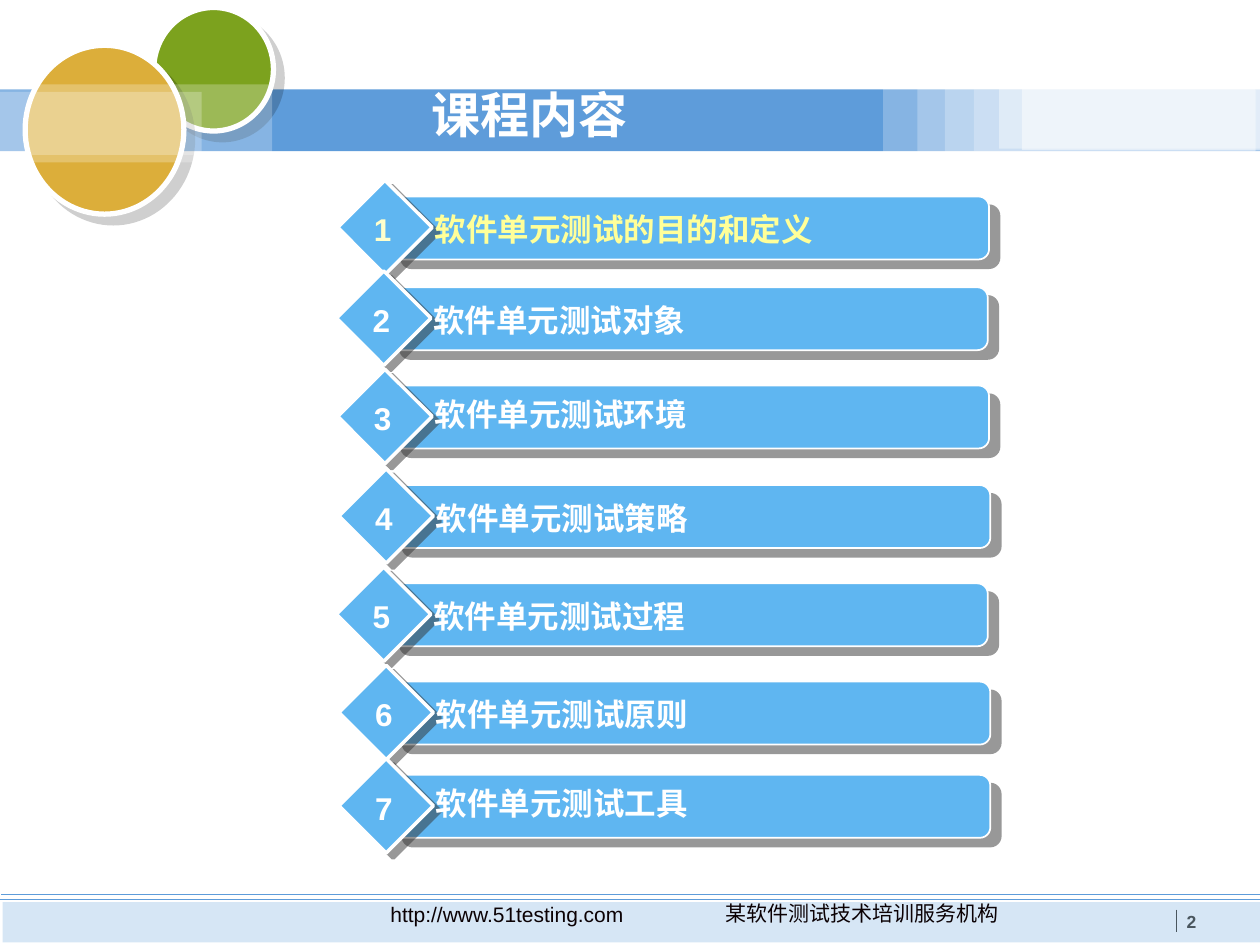
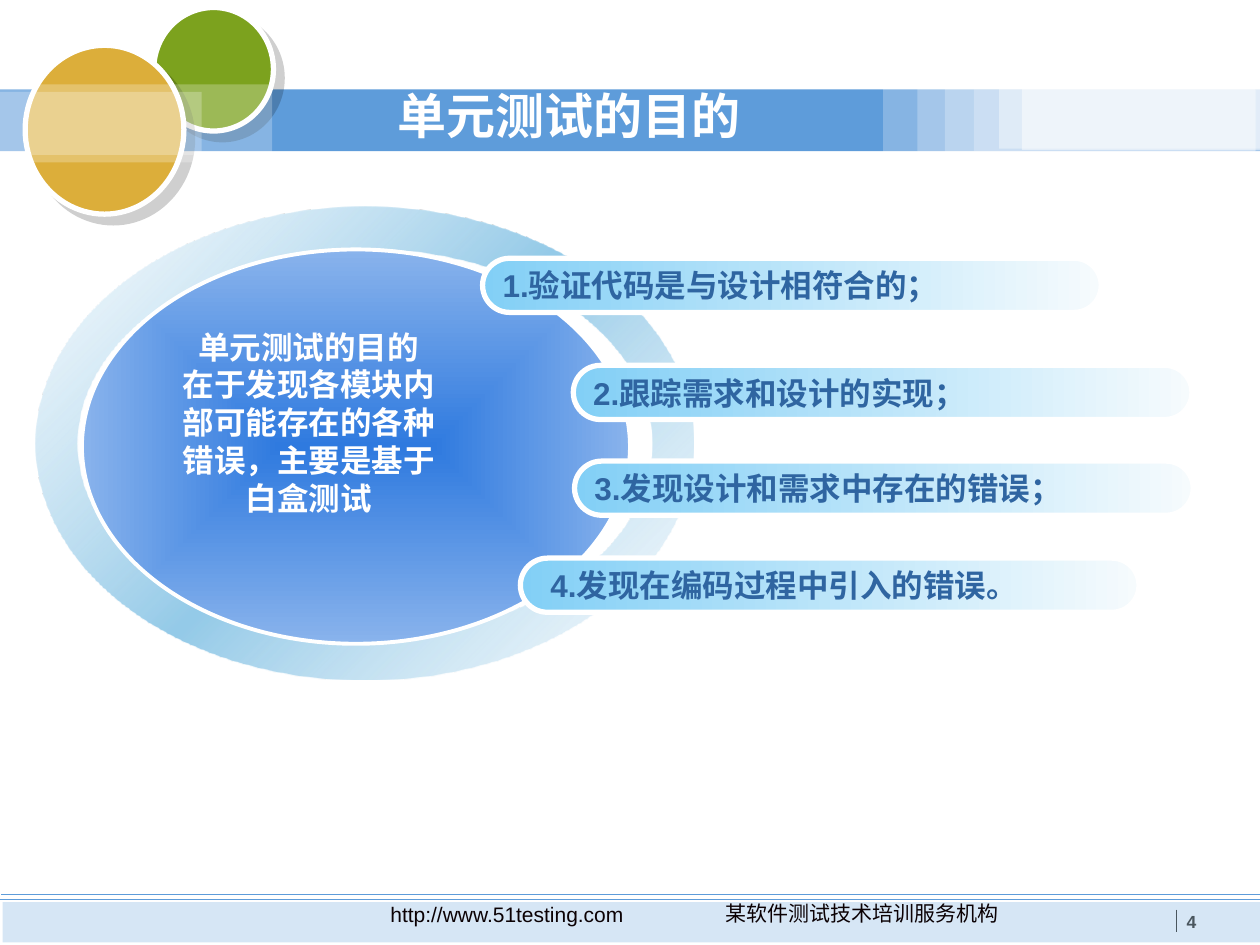
"""Build the course contents slide and the unit test purpose slide."""
from dataclasses import dataclass
from typing import Any, NamedTuple, Optional

import pptx
import pptx.dml.color
import pptx.enum.shapes
import pptx.enum.text
import pptx.oxml
import pptx.oxml.ns
import pptx.util

Inches = pptx.util.Inches
Pt = pptx.util.Pt
SHAPE = pptx.enum.shapes.MSO_SHAPE
ALIGN = pptx.enum.text.PP_ALIGN
ANCHOR = pptx.enum.text.MSO_ANCHOR
qn = pptx.oxml.ns.qn


@dataclass(frozen=True)
class Theme:
    font: str = "Arial"
    white: str = "FFFFFF"
    band: str = "5E9CDA"
    green: str = "7CA21E"
    gold: str = "DCAE3A"
    ink: str = "0B0104"
    slate: str = "4A565E"
    row: str = "5FB6F1"
    active_label: str = "FFFF99"
    active_number: str = "FFFFCC"
    pill_text: str = "2F65A1"
    title_size: int = 28
    body_size: int = 18
    footer_size: int = 12
    page_size: int = 10


THEME = Theme()


class Stop(NamedTuple):
    color: str
    alpha: int = 100
    pos: int = 0


class Fill(NamedTuple):
    stops: tuple[Stop, ...]
    angle: Optional[int] = None


class Shadow(NamedTuple):
    color: str
    alpha: int
    distance: float
    angle: int


@dataclass(frozen=True)
class Box:
    kind: Any
    left: float
    top: float
    width: float
    height: float
    fill: Fill
    line: Optional[float] = None
    shadow: Optional[Shadow] = None
    adjust: Optional[float] = None


@dataclass(frozen=True)
class Label:
    lines: tuple[str, ...]
    left: float
    top: float
    width: float
    height: float
    size: int = THEME.body_size
    color: str = THEME.white
    bold: bool = True
    align: Any = ALIGN.LEFT
    anchor: Any = ANCHOR.TOP
    wrap: bool = True
    spacing: float = 1.0
    shadow: Optional[Shadow] = None


class Rule(NamedTuple):
    start: tuple[float, float]
    end: tuple[float, float]
    color: str


class Topic(NamedTuple):
    text: str
    left: float
    top: float
    spacing: float = 1.0


class Goal(NamedTuple):
    text: str
    left: float
    top: float
    text_left: float


def solid(color: str, alpha: int = 100) -> Fill:
    return Fill((Stop(color, alpha),))


def veil(left: float, top: float, width: float, height: float, alpha: int = 25) -> Box:
    return Box(SHAPE.RECTANGLE, left, top, width, height, solid(THEME.white, alpha))


BALL_SHADOW = Shadow("000000", 19, 7.1, 45)
BAR_SHADOW = Shadow("333333", 50, 7.8, 40)
DIAMOND_SHADOW = Shadow("333333", 50, 5, 37)
TEXT_SHADOW = Shadow("000000", 100, 2, 45)
ROW_FILL = solid(THEME.row)
RING_FILL = Fill((Stop("BDDDF0", 12, 0), Stop("94CAE8", 100, 50), Stop("BDDDF0", 12, 100)), 225)
CORE_FILL = Fill((Stop("2F7ADF", pos=0), Stop("89B3EC", pos=100)))
PILL_FILL = Fill((Stop("F6FBFD", pos=0), Stop("82CFF6", pos=100)), 180)

FRAME_BOXES = (
    Box(SHAPE.RECTANGLE, 0, 0.71, 10, 0.49, solid(THEME.band)),
    Box(SHAPE.OVAL, 1.22, 0.06, 0.95, 0.98, solid(THEME.green), 3, BALL_SHADOW),
    veil(7.01, 0.68, 2.95, 0.56),
    veil(7.28, 0.7, 2.72, 0.57),
    veil(7.5, 0.69, 2.5, 0.57),
    veil(7.73, 0.71, 2.24, 0.49),
    veil(7.93, 0.69, 2.07, 0.49, 40),
    veil(8.11, 0.7, 1.89, 0.49, 48),
    Box(SHAPE.RECTANGLE, 0.02, 7.16, 9.98, 0.32, solid(THEME.band, 25)),
    Box(SHAPE.OVAL, 0.2, 0.36, 1.26, 1.34, solid(THEME.gold), 3, BALL_SHADOW),
    veil(0, 0.67, 2.16, 0.56),
    veil(0, 0.73, 1.6, 0.56),
)
FRAME_RULES = (
    Rule((9.34, 7.22), (9.34, 7.4), THEME.slate),
    Rule((0, 7.14), (10, 7.14), THEME.band),
    Rule((0.01, 7.1), (10, 7.1), THEME.band),
)
FOOTER = dict(size=THEME.footer_size, color=THEME.ink, bold=False, align=ALIGN.CENTER)
FRAME_LABELS = (
    Label(("某软件测试技术培训服务机构",), 5.08, 7.1, 3.52, 0.3, **FOOTER),
    Label(("http://www.51testing.com",), 2.39, 7.11, 3.27, 0.3, **FOOTER),
)
TOPICS = (
    Topic("软件单元测试的目的和定义", 3.1, 1.56),
    Topic("软件单元测试对象", 3.09, 2.28),
    Topic("软件单元测试环境", 3.1, 3.06, 0.9),
    Topic("软件单元测试策略", 3.11, 3.85),
    Topic("软件单元测试过程", 3.09, 4.63),
    Topic("软件单元测试原则", 3.11, 5.41),
    Topic("软件单元测试工具", 3.11, 6.15, 0.9),
)
GOALS = (
    Goal("1.验证代码是与设计相符合的；", 3.83, 2.05, 3.89),
    Goal("2.跟踪需求和设计的实现；", 4.55, 2.9, 4.61),
    Goal("3.发现设计和需求中存在的错误；", 4.56, 3.66, 4.62),
    Goal("4.发现在编码过程中引入的错误。", 4.13, 4.43, 4.27),
)
PURPOSE = ("单元测试的目的", "在于发现各模块内", "部可能存在的各种", "错误，主要是基于", "白盒测试")


def element(xml: str) -> Any:
    head, rest = xml.split(">", 1)
    slash = "/" if head.endswith("/") else ""
    return pptx.oxml.parse_xml(f"{head.rstrip('/')} {pptx.oxml.ns.nsdecls('a')}{slash}>{rest}")


def color_xml(color: str, alpha: int) -> str:
    return f'<a:srgbClr val="{color}"><a:alpha val="{alpha * 1000}"/></a:srgbClr>'


def fill_xml(fill: Fill) -> str:
    if len(fill.stops) == 1:
        return f"<a:solidFill>{color_xml(fill.stops[0].color, fill.stops[0].alpha)}</a:solidFill>"
    stops = "".join(f'<a:gs pos="{s.pos * 1000}">{color_xml(s.color, s.alpha)}</a:gs>' for s in fill.stops)
    if fill.angle is None:
        shade = '<a:path path="rect"><a:fillToRect l="50000" t="50000" r="50000" b="50000"/></a:path>'
    else:
        shade = f'<a:lin ang="{fill.angle * 60000}" scaled="0"/>'
    return f'<a:gradFill rotWithShape="1"><a:gsLst>{stops}</a:gsLst>{shade}</a:gradFill>'


def shadow_xml(shadow: Shadow) -> str:
    return (f'<a:outerShdw dist="{Pt(shadow.distance)}" dir="{shadow.angle * 60000}" algn="ctr" '
            f'rotWithShape="0">{color_xml(shadow.color, shadow.alpha)}</a:outerShdw>')


def rgb(color: str) -> pptx.dml.color.RGBColor:
    return pptx.dml.color.RGBColor.from_string(color)


def draw_box(shapes: Any, box: Box) -> None:
    sp = shapes.add_shape(box.kind, *map(Inches, (box.left, box.top, box.width, box.height)))
    if box.adjust is not None:
        sp.adjustments[0] = box.adjust
    props = sp._element.spPr
    props.find(qn("a:prstGeom")).addnext(element(fill_xml(box.fill)))
    if box.line is None:
        sp.line.fill.background()
    else:
        sp.line.color.rgb = rgb(THEME.white)
        sp.line.width = Pt(box.line)
    sp.shadow.inherit = False
    if box.shadow:
        props.find(qn("a:effectLst")).append(element(shadow_xml(box.shadow)))


def draw_label(shapes: Any, label: Label) -> None:
    sp = shapes.add_textbox(*map(Inches, (label.left, label.top, label.width, label.height)))
    tf = sp.text_frame
    tf.word_wrap = label.wrap
    tf.vertical_anchor = label.anchor
    formats = {"size": Pt(label.size), "bold": label.bold, "name": THEME.font}
    for i, text in enumerate(label.lines):
        p = tf.paragraphs[0] if i == 0 else tf.add_paragraph()
        p.alignment = label.align
        p.line_spacing = label.spacing
        r = p.add_run()
        r.text = text
        for name, value in formats.items():
            setattr(r.font, name, value)
        r.font.color.rgb = rgb(label.color)
        if label.shadow:
            effect = element(f"<a:effectLst>{shadow_xml(label.shadow)}</a:effectLst>")
            r._r.rPr.find(qn("a:solidFill")).addnext(effect)


def draw_rule(shapes: Any, rule: Rule) -> None:
    line = shapes.add_connector(pptx.enum.shapes.MSO_CONNECTOR.STRAIGHT,
                                *map(Inches, rule.start + rule.end))
    line.line.color.rgb = rgb(rule.color)
    line.line.width = Pt(0.75)
    line._element.spPr.append(element("<a:effectLst/>"))


def add_slide(prs: Any, title: Label, page: str) -> Any:
    shapes = prs.slides.add_slide(prs.slide_layouts[6]).shapes
    for box in FRAME_BOXES:
        draw_box(shapes, box)
    for rule in FRAME_RULES:
        draw_rule(shapes, rule)
    number = Label((page,), 9.32, 7.18, 0.48, 0.27, THEME.page_size, THEME.slate)
    for label in (*FRAME_LABELS, number, title):
        draw_label(shapes, label)
    return shapes


def title_label(text: str, left: float, top: float, width: float) -> Label:
    return Label((text,), left, top, width, 1.04, THEME.title_size, anchor=ANCHOR.MIDDLE, spacing=0.9)


def draw_topic(shapes: Any, number: int, topic: Topic) -> None:
    group = shapes.add_group_shape().shapes
    left, top = topic.left, topic.top
    active = number == 1
    draw_box(group, Box(SHAPE.ROUNDED_RECTANGLE, left, top, 4.75, 0.5, ROW_FILL, 1, BAR_SHADOW, 0.167))
    draw_box(group, Box(SHAPE.DIAMOND, left - 0.42, top - 0.13, 0.75, 0.75, ROW_FILL, 2, DIAMOND_SHADOW))
    draw_label(group, Label((topic.text,), left + 0.25, top + 0.06, 3.75, 0.4, spacing=topic.spacing,
                            color=THEME.active_label if active else THEME.white))
    draw_label(group, Label((str(number),), left - 0.23, top + 0.06, 0.34, 0.4, wrap=False,
                            color=THEME.active_number if active else THEME.white))


def draw_goal(shapes: Any, goal: Goal) -> None:
    draw_box(shapes, Box(SHAPE.ROUNDED_RECTANGLE, goal.left, goal.top, 4.91, 0.43, PILL_FILL, 3, adjust=0.5))
    draw_label(shapes, Label((goal.text,), goal.text_left, goal.top, 4.7, 0.43,
                             color=THEME.pill_text, anchor=ANCHOR.MIDDLE))


def main() -> None:
    prs = pptx.Presentation()
    prs.slide_width, prs.slide_height = Inches(10), Inches(7.5)

    contents = add_slide(prs, title_label("课程内容", 3.33, 0.41, 2.43), "2")
    for number, topic in enumerate(TOPICS, 1):
        draw_topic(contents, number, topic)

    purpose = add_slide(prs, title_label("单元测试的目的", 3.06, 0.42, 3.44), "4")
    draw_box(purpose, Box(SHAPE.DONUT, 0.28, 1.64, 5.22, 3.75, RING_FILL, adjust=0.089))
    draw_box(purpose, Box(SHAPE.OVAL, 0.65, 1.98, 4.35, 3.13, CORE_FILL, 2.25))
    for goal in GOALS:
        draw_goal(purpose, goal)
    draw_label(purpose, Label(PURPOSE, 1.35, 2.55, 2.2, 1.98, align=ALIGN.CENTER, wrap=False,
                              shadow=TEXT_SHADOW))
    prs.save("out.pptx")


if __name__ == "__main__":
    main()
